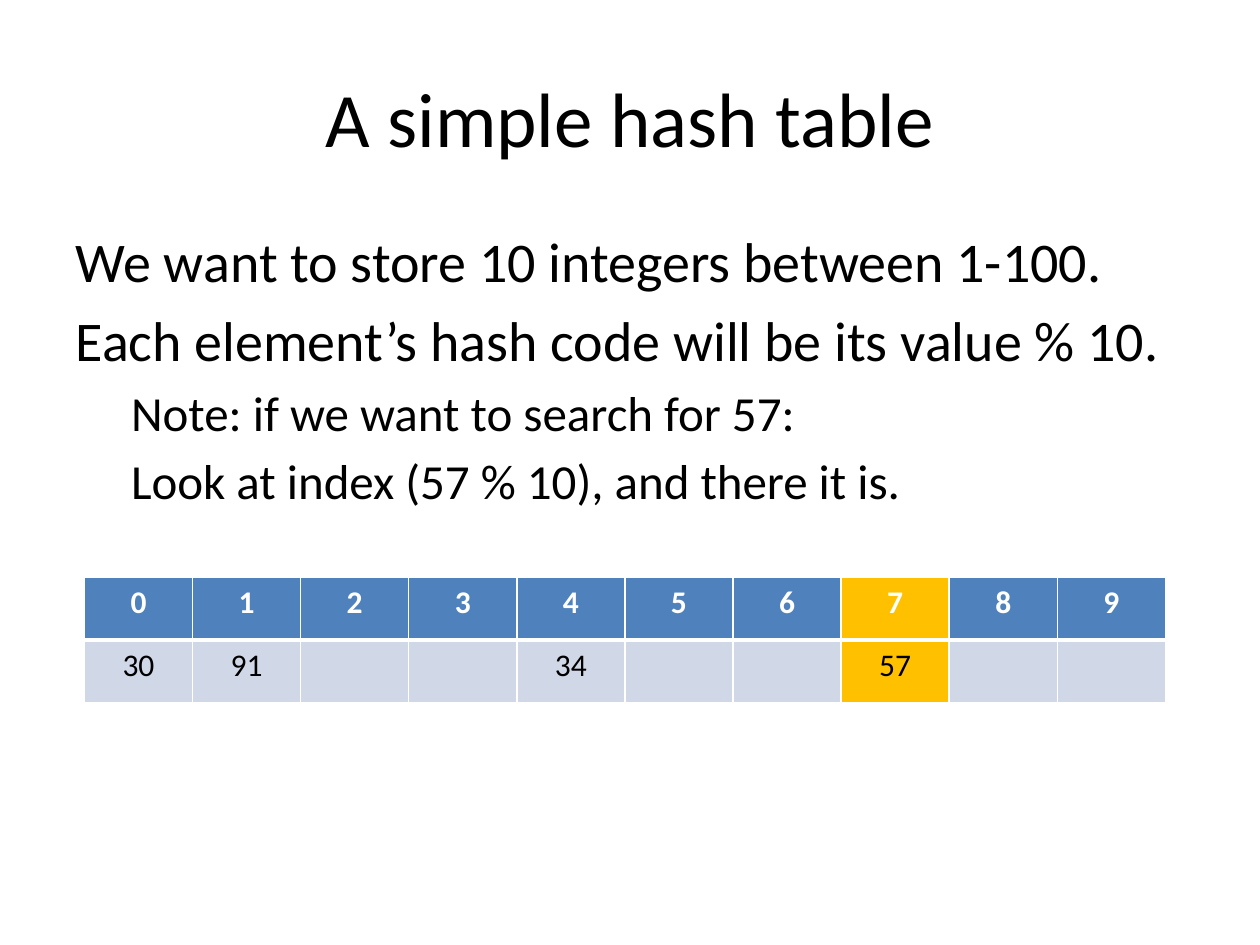
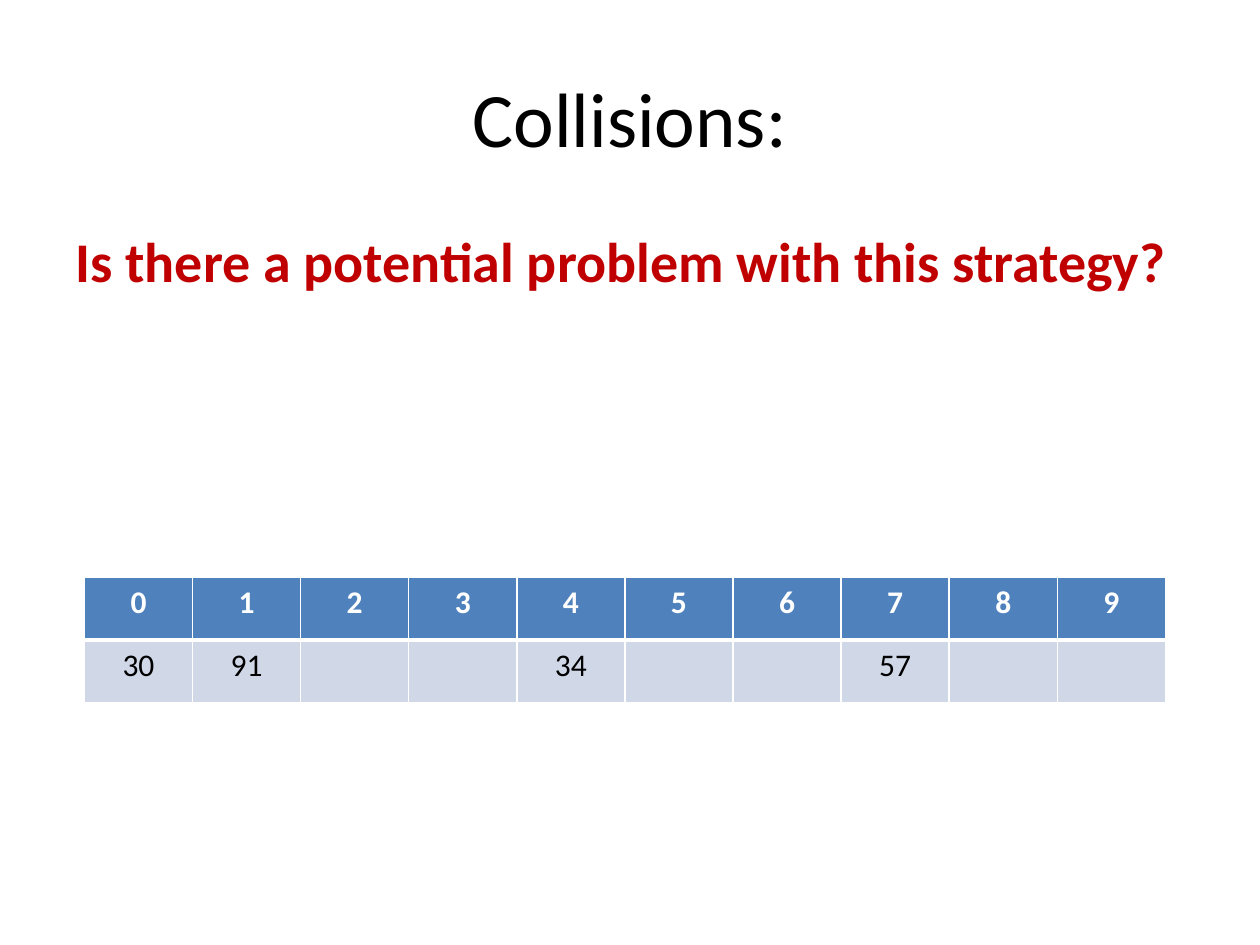
from lxml.etree import SubElement
from pptx import Presentation
from pptx.dml.color import RGBColor
from pptx.enum.text import MSO_ANCHOR as Anchor, MSO_AUTO_SIZE as AutoSize, PP_ALIGN as Align
from pptx.oxml.ns import qn
from pptx.util import Inches, Pt

BLACK, WHITE, RED = "000000", "FFFFFF", "C00000"
HEADER_BLUE, CELL_BLUE, GOLD = "4F81BD", "D0D8E8", "FFC000"
FONT = "Calibri"
BUCKETS = 10
STORED = {0: 30, 1: 91, 4: 34, 7: 57}


def color(value):
    return RGBColor.from_string(value)


def write(para, text, size=18, ink=BLACK, bold=False, align=None):
    para.alignment = align
    span = para.add_run()
    span.text = text
    span.font.name = FONT
    span.font.size = Pt(size)
    span.font.bold = bold
    span.font.color.rgb = color(ink)


def draw_border(cell, side, width):
    line = SubElement(cell._tc.get_or_add_tcPr(), qn(f"a:ln{side}"), w=str(Pt(width)))
    fill = SubElement(line, qn("a:solidFill"))
    SubElement(fill, qn("a:srgbClr"), val=WHITE)


class DeckBuilder:
    def __init__(self):
        self.deck = Presentation()
        self.deck.slide_width = Inches(10)
        self.deck.slide_height = Inches(7.5)
        self.page = None

    def add_page(self, title):
        self.page = self.deck.slides.add_slide(self.deck.slide_layouts[1])
        frame = self.place(self.page.shapes.title, 0.3, 1.25)
        frame.vertical_anchor = Anchor.MIDDLE
        write(frame.paragraphs[0], title, size=44, align=Align.CENTER)

    def place(self, box, top, height):
        box.left, box.top = Inches(0.5), Inches(top)
        box.width, box.height = Inches(9), Inches(height)
        box.text_frame.word_wrap = True
        box.text_frame.auto_size = AutoSize.NONE
        return box.text_frame

    def add_body(self, lines, **style):
        frame = self.place(self.page.placeholders[1], 1.75, 4.95)
        for index, (level, text) in enumerate(lines):
            para = frame.paragraphs[0] if index == 0 else frame.add_paragraph()
            para.level = level
            properties = para._p.get_or_add_pPr()
            properties.set("marL", str(Inches(0.44) * level))
            properties.set("indent", "0")
            SubElement(properties, qn("a:buNone"))
            write(para, text, size=32 - 4 * level, **style)

    def add_hash_table(self, highlight=None):
        table = self.page.shapes.add_table(
            2, BUCKETS, Inches(0.67), Inches(4.58), Inches(8.58), Inches(1)
        ).table
        for index in range(BUCKETS):
            header_fill = GOLD if index == highlight else HEADER_BLUE
            value_fill = GOLD if index == highlight else CELL_BLUE
            self.fill_cell(table.cell(0, index), index, header_fill, bottom=3, ink=WHITE, bold=True)
            self.fill_cell(table.cell(1, index), STORED.get(index), value_fill, top=3)

    def fill_cell(self, cell, value, fill, top=1, bottom=1, **style):
        for side, width in (("L", 1), ("R", 1), ("T", top), ("B", bottom)):
            draw_border(cell, side, width)
        cell.fill.solid()
        cell.fill.fore_color.rgb = color(fill)
        if value is not None:
            write(cell.text_frame.paragraphs[0], str(value), align=Align.CENTER, **style)


def main():
    builder = DeckBuilder()

    builder.add_page("A simple hash table")
    builder.add_body([
        (0, "We want to store 10 integers between 1-100."),
        (0, "Each element’s hash code will be its value % 10."),
        (1, "Note: if we want to search for 57:"),
        (1, "Look at index (57 % 10), and there it is."),
    ])
    builder.add_hash_table(highlight=57 % BUCKETS)

    builder.add_page("Collisions:")
    builder.add_body([(0, "Is there a potential problem with this strategy?")], ink=RED, bold=True)
    builder.add_hash_table()

    builder.deck.save("out.pptx")


if __name__ == "__main__":
    main()
